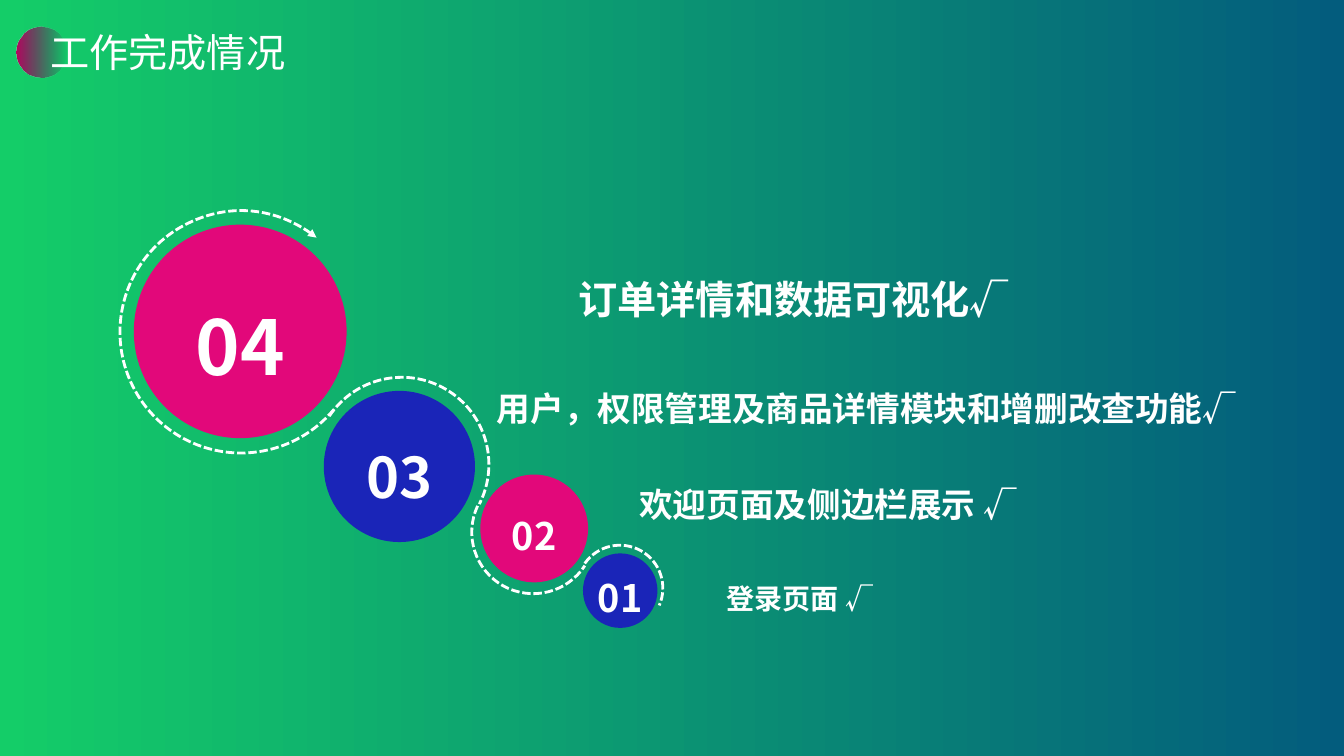
from math import cos, radians, sin, tan

from lxml.etree import SubElement
from pptx import Presentation
from pptx.dml.color import RGBColor
from pptx.enum.dml import MSO_LINE
from pptx.enum.shapes import MSO_SHAPE
from pptx.enum.text import MSO_ANCHOR, MSO_AUTO_SIZE, PP_ALIGN
from pptx.oxml.ns import qn
from pptx.util import Pt

FONT = "Noto Sans CJK SC"
COLORS = {
    "green": "14CD68",
    "teal": "035C7D",
    "berry": "B30660",
    "plum": "570152",
    "pink": "E2087A",
    "blue": "1A25B8",
    "white": "FFFFFF",
}

# number, colour, left, top, width, height, text size
STEPS = [
    ("04", "pink", 95.6, 160.5, 152, 152.5, 54),
    ("03", "blue", 231.3, 279.2, 108, 108, 40),
    ("02", "pink", 343.1, 339, 77, 77, 27),
    ("01", "blue", 416.4, 395.3, 53.2, 53.2, 27),
]
# centre x, centre y, radius, start angle, end angle, number of curves
ORBITS = [
    (172.1, 237.2, 86.4, 39.8, 308.7, 4),
    (287, 331.7, 62.2, 213.7, 387.1, 2),
    (380.9, 380.2, 43.9, 205.4, 32.9, 2),
    (442.8, 420.2, 30.7, 215.2, 383.6, 2),
]
# text, left, top, width, height, text size
TASKS = [
    (" 登录页面 √", 507.4, 399.9, 507.6, 43.2, 20),
    (" 欢迎页面及侧边栏展示 √", 444.2, 327.6, 507.6, 51.1, 24),
    ("用户，权限管理及商品详情模块和增删改查功能√", 347.8, 259.2, 555.8, 51.1, 24),
    ("订单详情和数据可视化√", 406.1, 176.4, 524.2, 58.3, 28),
]


def rgb(name):
    return RGBColor.from_string(COLORS[name])


def write(frame, text, size, bold=False, spacing=1.0, align=PP_ALIGN.LEFT):
    paragraph = frame.paragraphs[0]
    paragraph.alignment = align
    paragraph.line_spacing = spacing
    run = paragraph.add_run()
    run.text = text
    run.font.size = Pt(size)
    run.font.bold = bold
    run.font.name = FONT
    run.font.color.rgb = rgb("white")
    SubElement(run.font._element, qn("a:ea"), typeface=FONT)


def fill_gradient(fill, *names):
    fill.gradient()
    fill.gradient_angle = 0
    for stop, name in zip(fill.gradient_stops, names):
        stop.color.rgb = rgb(name)


def add_circle(slide, left, top, width, height):
    circle = slide.shapes.add_shape(
        MSO_SHAPE.OVAL, Pt(left), Pt(top), Pt(width), Pt(height))
    circle.shadow.inherit = False
    circle.line.fill.background()
    return circle


def add_heading(slide):
    heading = slide.shapes.title
    heading.left, heading.top = Pt(28.8), Pt(16.6)
    heading.width, heading.height = Pt(189.4), Pt(41)
    heading.text_frame.vertical_anchor = MSO_ANCHOR.MIDDLE
    write(heading.text_frame, "工作完成情况", 28)

    dot = add_circle(slide, 11.5, 18.9, 36.3, 36.3)
    fill_gradient(dot.fill, "berry", "plum")
    fading_color = dot.element.findall(".//" + qn("a:gs"))[-1][0]
    SubElement(fading_color, qn("a:alpha"), val="0")
    heading.element.addprevious(dot.element)


def arc_points(center_x, center_y, radius, start, end, curves):
    turn = radians(end - start) / curves
    reach = 4 / 3 * tan(turn / 4)

    def place(angle, pull=0):
        return (Pt(center_x + radius * (cos(angle) - pull * sin(angle))),
                Pt(center_y + radius * (sin(angle) + pull * cos(angle))))

    points = [place(radians(start))]
    for i in range(curves):
        first = radians(start) + i * turn
        last = first + turn
        points += [place(first, reach), place(last, -reach), place(last)]
    return points


def bend_lines(outline):
    lines = outline.element.findall(".//" + qn("a:lnTo"))
    for i in range(0, len(lines), 3):
        curve = SubElement(lines[i].getparent(), qn("a:cubicBezTo"))
        for line in lines[i:i + 3]:
            curve.append(line[0])
            line.getparent().remove(line)


def add_orbit(slide, *arc):
    points = arc_points(*arc)
    builder = slide.shapes.build_freeform(*points[0])
    builder.add_line_segments(points[1:], close=False)
    orbit = builder.convert_to_shape()
    bend_lines(orbit)
    orbit.shadow.inherit = False
    orbit.fill.background()
    orbit.line.color.rgb = rgb("white")
    orbit.line.width = Pt(2)
    orbit.line.dash_style = MSO_LINE.SQUARE_DOT
    return orbit


def add_step(slide, number, color, left, top, width, height, size):
    step = add_circle(slide, left, top, width, height)
    step.fill.solid()
    step.fill.fore_color.rgb = rgb(color)
    frame = step.text_frame
    frame.margin_left = frame.margin_right = 0
    frame.margin_top = frame.margin_bottom = 0
    frame.vertical_anchor = MSO_ANCHOR.MIDDLE
    write(frame, number, size, bold=True, spacing=1.3, align=PP_ALIGN.CENTER)


def add_task(slide, text, left, top, width, height, size):
    task = slide.shapes.add_textbox(Pt(left), Pt(top), Pt(width), Pt(height))
    task.text_frame.word_wrap = True
    task.text_frame.auto_size = MSO_AUTO_SIZE.SHAPE_TO_FIT_TEXT
    write(task.text_frame, text, size, bold=True, spacing=1.5)


def main():
    deck = Presentation()
    deck.slide_width, deck.slide_height = Pt(960), Pt(540)
    slide = deck.slides.add_slide(deck.slide_layouts[5])
    fill_gradient(slide.background.fill, "green", "teal")

    add_heading(slide)
    orbits = [add_orbit(slide, *orbit) for orbit in ORBITS]
    outline = orbits[0].element.spPr.find(qn("a:ln"))
    SubElement(outline, qn("a:tailEnd"), type="triangle")
    for step in STEPS:
        add_step(slide, *step)
    for task in TASKS:
        add_task(slide, *task)
    deck.save("out.pptx")


if __name__ == "__main__":
    main()
